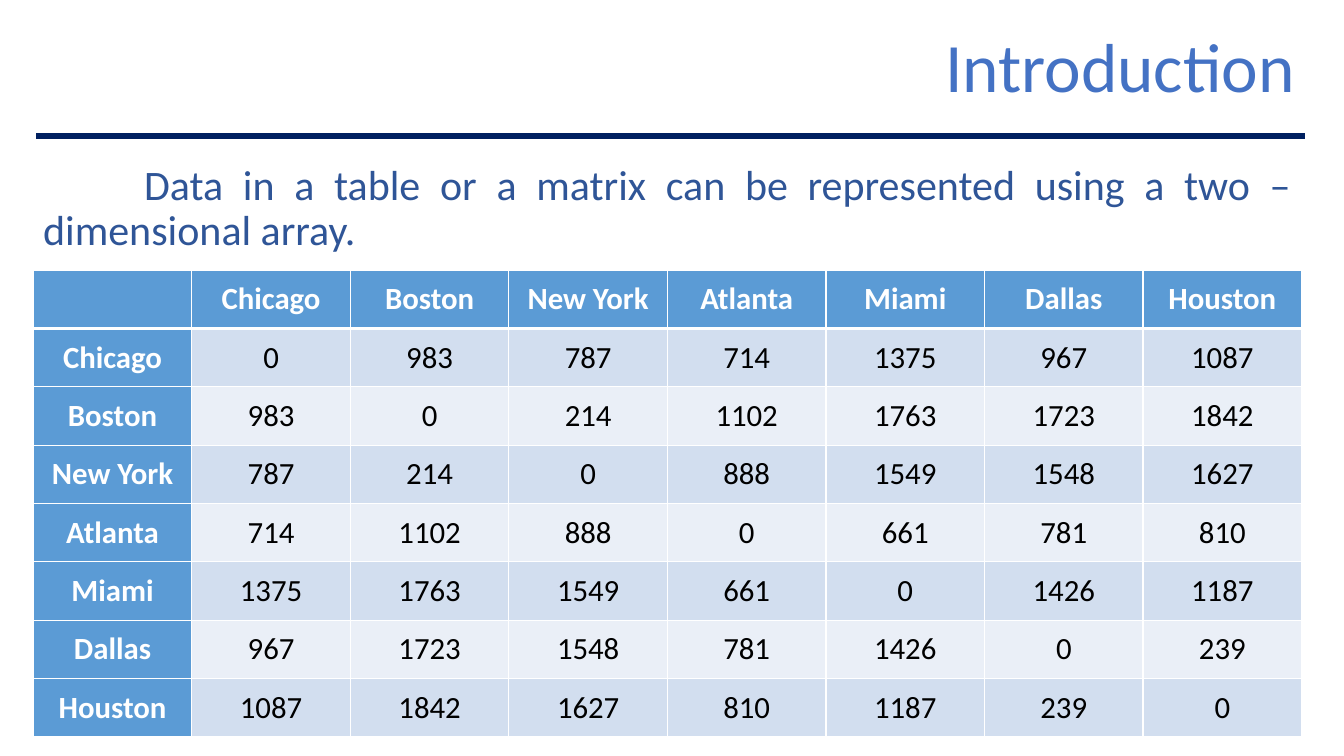
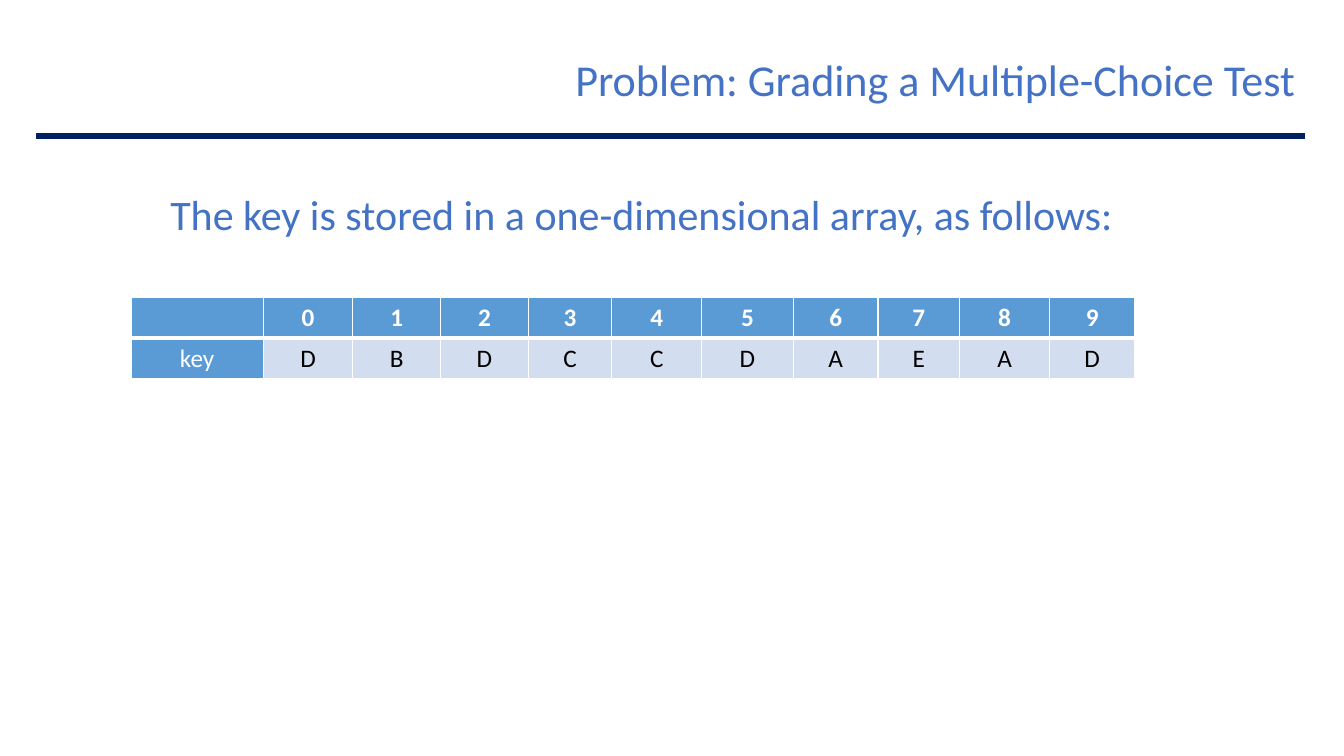
from dataclasses import dataclass

from lxml import etree
from pptx import Presentation
from pptx.dml.color import RGBColor
from pptx.enum.shapes import MSO_CONNECTOR
from pptx.enum.text import MSO_ANCHOR, PP_ALIGN
from pptx.oxml.ns import qn
from pptx.util import Inches, Pt

LEFT, RIGHT = PP_ALIGN.LEFT, PP_ALIGN.RIGHT
CENTER, JUSTIFY = PP_ALIGN.CENTER, PP_ALIGN.JUSTIFY
TOP, MIDDLE, BOTTOM = MSO_ANCHOR.TOP, MSO_ANCHOR.MIDDLE, MSO_ANCHOR.BOTTOM
STRAIGHT = MSO_CONNECTOR.STRAIGHT


@dataclass(frozen=True)
class Theme:
    font: str = "Calibri"
    blue: str = "4472C4"
    deep: str = "2F5597"
    navy: str = "002060"
    head: str = "5B9BD5"
    odd: str = "D2DEEF"
    even: str = "EAEFF7"
    white: str = "FFFFFF"
    black: str = "000000"
    title: float = 49.5
    small: float = 31.5
    body: float = 30
    grid: float = 22
    key: float = 18
    rule: float = 4.5
    thin: float = 1
    thick: float = 3


T = Theme()

CITIES = ["Chicago", "Boston", "New York", "Atlanta", "Miami", "Dallas", "Houston"]
MILES = [
    [0],
    [983, 0],
    [787, 214, 0],
    [714, 1102, 888, 0],
    [1375, 1763, 1549, 661, 0],
    [967, 1723, 1548, 781, 1426, 0],
    [1087, 1842, 1627, 810, 1187, 239, 0],
]
KEY = "DBDCCDAEAD"
WIDTHS = [1.31, 0.89, 0.87, 0.87, 0.83, 0.89, 0.91, 0.84, 0.81, 0.89, 0.85]


def write(frame, text, size=T.body, color=T.blue, bold=False, align=LEFT,
          space=1.0, indent=0):
    para = frame.paragraphs[0]
    para.alignment = align
    para.line_spacing = space
    if indent:
        props = para._p.get_or_add_pPr()
        props.set("marL", "0")
        props.set("indent", str(Inches(indent)))
    run = para.add_run()
    run.text = text
    font = run.font
    font.name = T.font
    font.size = Pt(size)
    font.bold = bold
    font.color.rgb = RGBColor.from_string(color)


def label(slide, box, text, anchor=TOP, **style):
    frame = slide.shapes.add_textbox(*map(Inches, box)).text_frame
    frame.word_wrap = True
    frame.vertical_anchor = anchor
    write(frame, text, **style)


def rule(slide, x, y, width):
    line = slide.shapes.add_connector(
        STRAIGHT, Inches(x), Inches(y), Inches(x + width), Inches(y))
    line.line.color.rgb = RGBColor.from_string(T.navy)
    line.line.width = Pt(T.rule)
    etree.SubElement(line._element.spPr, qn("a:effectLst"))


def header(slide, title, size, box):
    x, y, width, height = box
    rule(slide, x, y + height, width)
    label(slide, (x + 4.72, y, width - 4.72, 0.75), title,
          anchor=BOTTOM, size=size, align=RIGHT, space=0.7)


def border(cell, top, bottom):
    props = cell._tc.get_or_add_tcPr()
    sides = (("L", T.thin), ("R", T.thin), ("T", top), ("B", bottom))
    for spot, (side, width) in enumerate(sides):
        line = etree.Element(qn("a:ln" + side), w=str(Pt(width)))
        fill = etree.SubElement(line, qn("a:solidFill"))
        etree.SubElement(fill, qn("a:srgbClr"), val=T.white)
        props.insert(spot, line)


def grid(slide, box, rows, widths, size, bold):
    x, y, width, height = map(Inches, box)
    table = slide.shapes.add_table(
        len(rows), len(widths), x, y, width, height).table
    table.horz_banding = False
    for column, wide in zip(table.columns, widths):
        column.width = Inches(wide)
    for r, row in enumerate(rows):
        table.rows[r].height = Inches(box[3] / len(rows))
        for c, value in enumerate(row):
            cell = table.cell(r, c)
            head = r == 0 or c == 0
            shade = T.head if head else (T.odd if r % 2 else T.even)
            cell.fill.solid()
            cell.fill.fore_color.rgb = RGBColor.from_string(shade)
            cell.vertical_anchor = MIDDLE
            border(cell, T.thick if r == 1 else T.thin,
                   T.thick if r == 0 else T.thin)
            if value != "":
                write(cell.text_frame, str(value), size=size, align=CENTER,
                      color=T.white if head else T.black,
                      bold=r == 0 or (c == 0 and bold))


def start(deck, title, size):
    slide = deck.slides.add_slide(deck.slide_layouts[6])
    header(slide, title, size, (0.36, 0.33, 12.58, 1.02))
    return slide


def intro(deck):
    slide = start(deck, "Introduction", T.title)
    label(slide, (0.33, 1.58, 12.58, 1.06),
          "Data in a table or a matrix can be represented using a two – "
          "dimensional array.",
          color=T.deep, align=JUSTIFY, space=0.9, indent=1)
    rows = [[""] + CITIES]
    for r, city in enumerate(CITIES):
        rows.append([city] + [MILES[max(r, c)][min(r, c)]
                              for c in range(len(CITIES))])
    width = 12.58
    count = len(rows[0])
    grid(slide, (0.33, 2.68, width, 4.63), rows, [width / count] * count,
         T.grid, True)


def answers(deck):
    slide = start(deck, "Problem: Grading a Multiple-Choice Test", T.small)
    label(slide, (0.59, 1.82, 12.58, 0.68),
          "The key is stored in a one-dimensional array, as follows:",
          align=JUSTIFY, indent=1)
    rows = [["", *range(len(KEY))], ["key", *KEY]]
    grid(slide, (1.3, 2.95, sum(WIDTHS), 0.81), rows, WIDTHS, T.key, False)


def main():
    deck = Presentation()
    deck.slide_width = Inches(13.33)
    deck.slide_height = Inches(7.5)
    intro(deck)
    answers(deck)
    deck.save("out.pptx")


if __name__ == "__main__":
    main()
